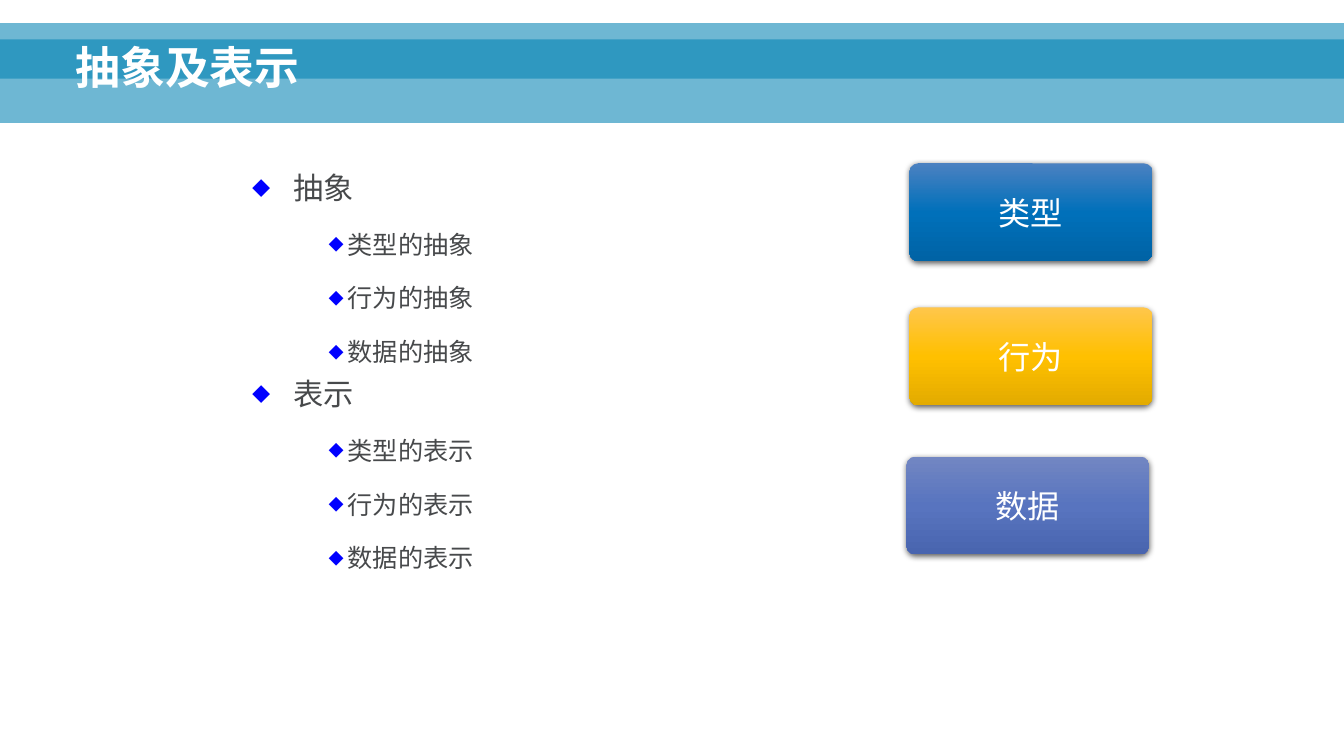
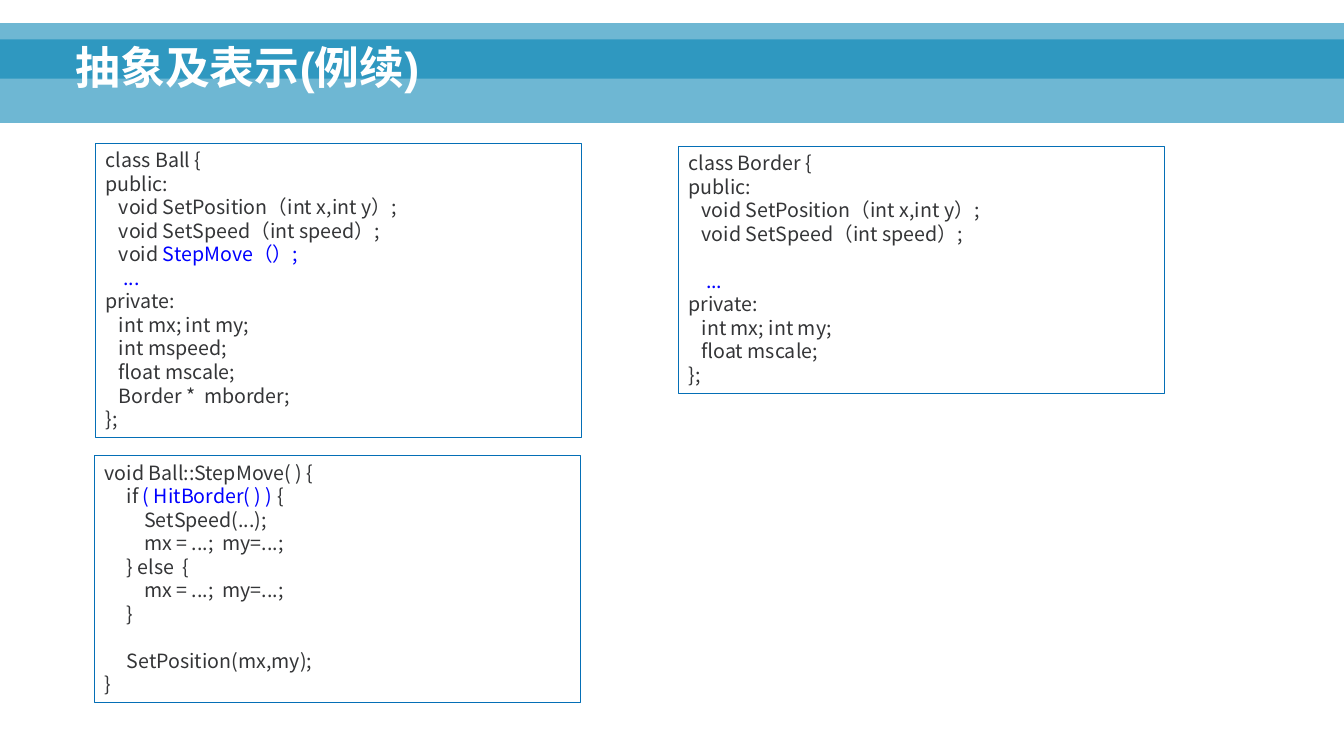
from copy import deepcopy

from lxml import etree
from pptx import Presentation
from pptx import util as u
from pptx.dml import color
from pptx.enum import shapes, text
from pptx.oxml import ns

ARIAL = "Arial"
SANS = "Noto Sans CJK SC"
BAND, WHITE, BODY, CODE, BLUE, FRAME = (
    "0082B3", "FFFFFF", "47494B", "343537", "0000FF", "046FB6")

TITLE_STYLE = {"name": ARIAL, "size": u.Pt(32), "bold": True}
CARD_STYLE = {"name": SANS, "size": u.Pt(23)}
CODE_STYLE = {"name": SANS, "size": u.Pt(14)}
BULLETS = [
    {"size": 21.6, "left": 0.4, "hanging": 0.4, "line": 1.0,
     "align": text.PP_ALIGN.JUSTIFY},
    {"size": 18, "left": 0.94, "hanging": 0.19, "line": 1.5,
     "align": text.PP_ALIGN.LEFT},
]

OUTLINE = [("抽象", ["类型的抽象", "行为的抽象", "数据的抽象"]),
           ("表示", ["类型的表示", "行为的表示", "数据的表示"])]
CARDS = [
    ("类型", 9.02, 1.62, ["4B81C1", "0070BA", "0063A5"]),
    ("行为", 9.02, 3.05, ["FFC64B", "FFC000", "E3AB00"]),
    ("数据", 8.99, 4.53, ["7286C2", "5874BF", "4965AF"]),
]

SETTERS = """public:
   void SetPosition（int x,int y）;
   void SetSpeed（int speed）;
"""
BALL_CLASS = [
    [("class Ball {\n" + SETTERS + "   void ", CODE),
     ("StepMove（）;\n    ...\n", BLUE),
     ("private:", CODE)],
    [("""   int mx; int my;
   int mspeed;
   float mscale;
   Border *  mborder;
};""", CODE)],
]
STEP_MOVE = [
    [("void Ball::StepMove( ) {\n     if ", CODE),
     ("( HitBorder( ) )", BLUE),
     (""" {
         SetSpeed(...);
         mx = ...;  my=...;
     } else  {
         mx = ...;  my=...;
     }

     SetPosition(mx,my);
}""", CODE)],
]
BORDER_CLASS = [
    [("class Border {\n" + SETTERS + "\n", CODE),
     ("    ...\n", BLUE),
     ("private:", CODE)],
    [("   int mx; int my;\n   float mscale;\n};", CODE)],
]
LISTINGS = [
    (BALL_CLASS, (0.95, 1.42, 4.82, 2.92)),
    (STEP_MOVE, (0.94, 4.52, 4.82, 2.45)),
    (BORDER_CLASS, (6.73, 1.45, 4.82, 2.45)),
]


def rgb(value):
    return color.RGBColor.from_string(value)


def apply(target, values):
    for name, value in values.items():
        setattr(target, name, value)


def add_child(parent, tag, **attributes):
    return etree.SubElement(parent, ns.qn(tag), attributes)


def place(box):
    return [u.Inches(length) for length in box]


def add_span(para, words, style, ink):
    span = para.add_run()
    span.text = words
    apply(span.font, style)
    span.font.color.rgb = rgb(ink)
    add_child(span.font._element, "a:ea", typeface=SANS)


def add_plain_shape(page, kind, box):
    shape = page.shapes.add_shape(kind, *place(box))
    shape.shadow.inherit = False
    shape.line.fill.background()
    return shape


def add_header(page, title):
    for top, height in [(0.39, 0.83), (0.23, 0.55)]:
        band = add_plain_shape(page, shapes.MSO_SHAPE.RECTANGLE,
                               (0, top, 13.33, height))
        band.fill.solid()
        band.fill.fore_color.rgb = rgb(BAND)
        tint = band.element.spPr.find(".//" + ns.qn("a:srgbClr"))
        add_child(tint, "a:alpha", val="57000")
    frame = page.shapes.add_textbox(*place((0.65, 0.11, 11.98, 0.87))).text_frame
    apply(frame, {"word_wrap": True,
                  "vertical_anchor": text.MSO_ANCHOR.BOTTOM})
    para = frame.paragraphs[0]
    para.line_spacing = 0.9
    add_span(para, title, TITLE_STYLE, WHITE)


def add_bullet(para, words, level):
    rule = BULLETS[level]
    properties = para._p.get_or_add_pPr()
    properties.set("marL", str(u.Inches(rule["left"])))
    properties.set("indent", str(-u.Inches(rule["hanging"])))
    add_child(add_child(properties, "a:buClr"), "a:srgbClr", val=BLUE)
    add_child(properties, "a:buSzPct", val="60000")
    add_child(properties, "a:buFont", typeface=SANS)
    add_child(properties, "a:buChar", char="◆")
    apply(para, {"level": level, "alignment": rule["align"],
                 "line_spacing": rule["line"], "space_after": u.Pt(3)})
    add_span(para, words, {"name": SANS, "size": u.Pt(rule["size"])}, BODY)


def add_outline(page, box, outline):
    frame = page.shapes.add_textbox(*place(box)).text_frame
    frame.word_wrap = True
    items = []
    for heading, details in outline:
        items.append((heading, 0))
        items.extend((detail, 1) for detail in details)
    for index, (words, level) in enumerate(items):
        para = frame.add_paragraph() if index else frame.paragraphs[0]
        add_bullet(para, words, level)
        para.space_before = u.Pt(3 if index else 0)


def add_card(page, box, label, tones):
    card = add_plain_shape(page, shapes.MSO_SHAPE.ROUNDED_RECTANGLE, box)
    card.adjustments[0] = 0.09
    card.fill.gradient()
    card.fill.gradient_angle = 270
    properties = card.element.spPr
    stops = properties.find(".//" + ns.qn("a:gsLst"))
    stops.append(deepcopy(stops[-1]))
    for stop, position, tone in zip(card.fill.gradient_stops, (0, 0.5, 1), tones):
        stop.position = position
        stop.color.rgb = rgb(tone)
    shadow = add_child(properties.find(ns.qn("a:effectLst")), "a:outerShdw",
                       blurRad=str(u.Pt(4.5)), dist=str(u.Pt(1.5)),
                       dir="5400000", rotWithShape="0")
    shade = add_child(shadow, "a:srgbClr", val="000000")
    add_child(shade, "a:alpha", val="63000")
    frame = card.text_frame
    apply(frame, {"word_wrap": True,
                  "vertical_anchor": text.MSO_ANCHOR.MIDDLE})
    para = frame.paragraphs[0]
    para.alignment = text.PP_ALIGN.CENTER
    add_span(para, label, CARD_STYLE, WHITE)


def add_listing(page, box, listing):
    shape = add_plain_shape(page, shapes.MSO_SHAPE.RECTANGLE, box)
    shape.fill.background()
    shape.line.color.rgb = rgb(FRAME)
    shape.line.width = u.Pt(0.75)
    frame = shape.text_frame
    apply(frame, {"word_wrap": True,
                  "auto_size": text.MSO_AUTO_SIZE.SHAPE_TO_FIT_TEXT,
                  "vertical_anchor": text.MSO_ANCHOR.TOP})
    for index, pieces in enumerate(listing):
        para = frame.add_paragraph() if index else frame.paragraphs[0]
        para.alignment = text.PP_ALIGN.LEFT
        for words, ink in pieces:
            for number, line in enumerate(words.split("\n")):
                if number:
                    para.add_line_break()
                    mark = para._p[-1].get_or_add_rPr()
                    mark.set("sz", str(CODE_STYLE["size"].centipoints))
                    add_child(mark, "a:latin", typeface=SANS)
                    add_child(mark, "a:ea", typeface=SANS)
                if line:
                    add_span(para, line, CODE_STYLE, ink)


def add_page(deck, title):
    page = deck.slides.add_slide(deck.slide_layouts[6])
    add_header(page, title)
    return page


def build_overview(deck):
    page = add_page(deck, "抽象及表示")
    add_outline(page, (2.41, 1.63, 5.61, 4.26), OUTLINE)
    for label, left, top, tones in CARDS:
        add_card(page, (left, top, 2.41, 0.97), label, tones)


def build_example(deck):
    page = add_page(deck, "抽象及表示(例续)")
    for listing, box in LISTINGS:
        add_listing(page, box, listing)


def main():
    deck = Presentation()
    apply(deck, {"slide_width": u.Inches(13.33), "slide_height": u.Inches(7.5)})
    build_overview(deck)
    build_example(deck)
    deck.save("out.pptx")


if __name__ == "__main__":
    main()
